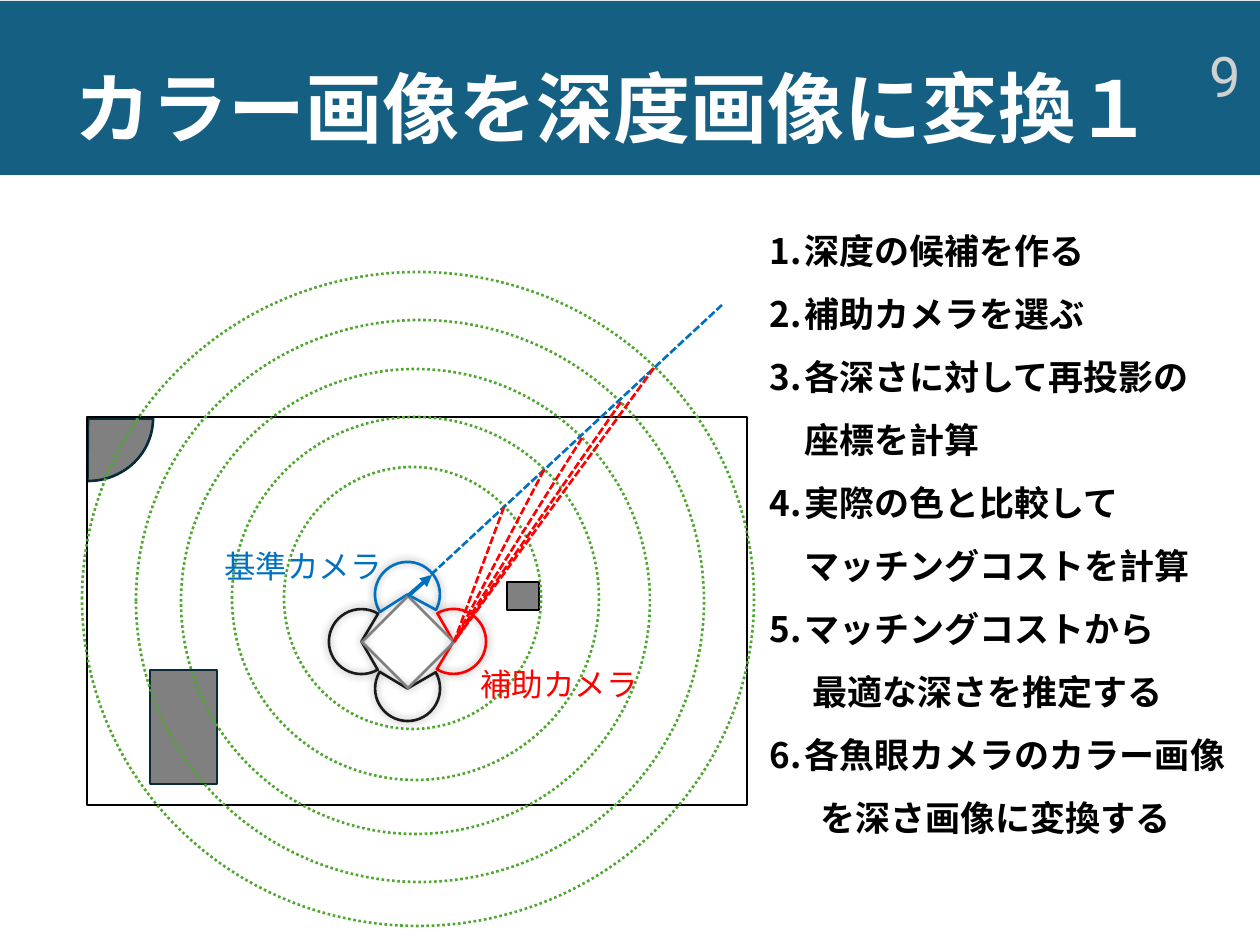
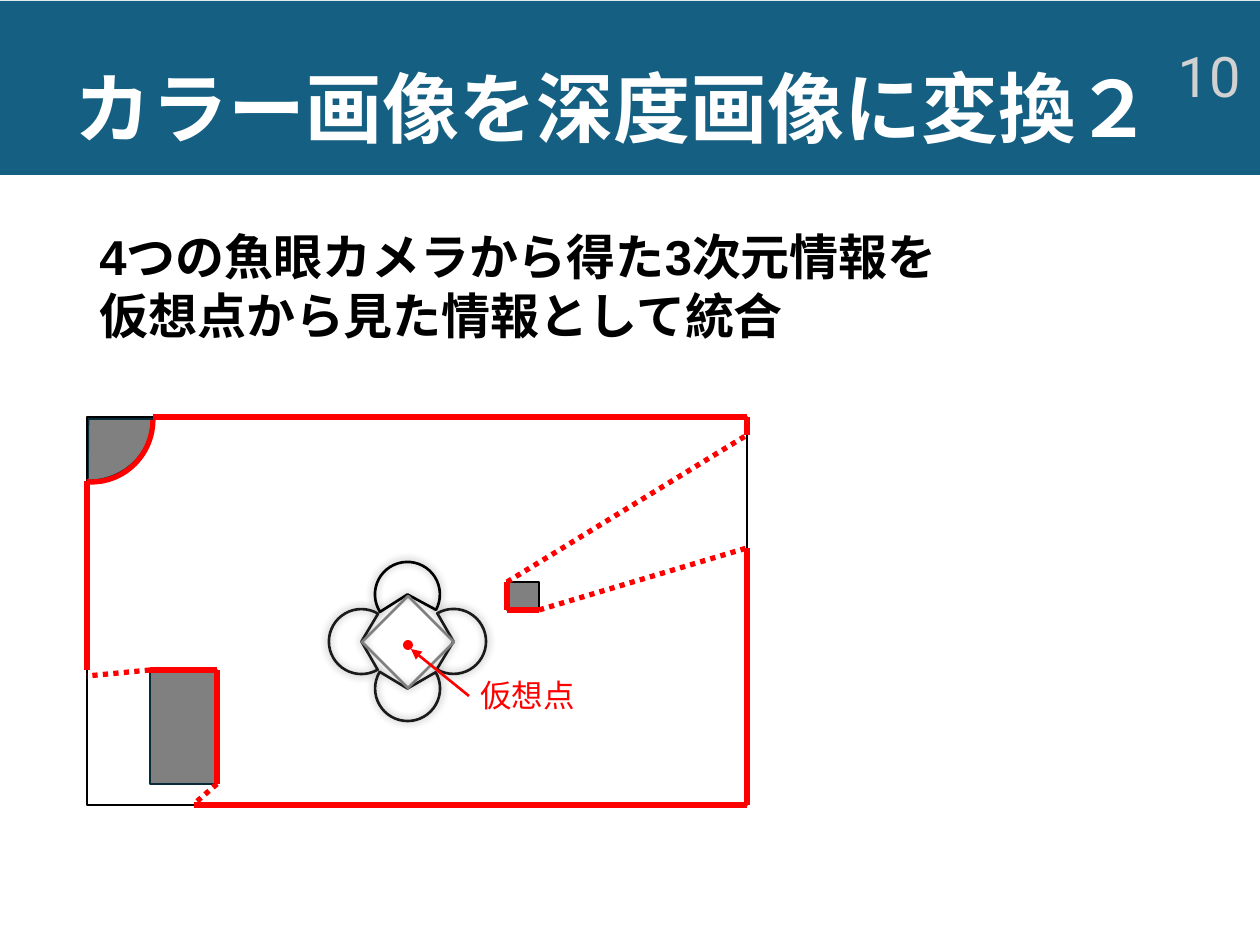
"""Build two slides on turning colour images into depth images."""
import lxml.etree
import pptx
import pptx.dml.color
import pptx.enum.dml
import pptx.enum.shapes
import pptx.enum.text
import pptx.oxml.ns
import pptx.util

PX = 914400 / 126
BAND, WHITE, NUMBER = "156082", "FFFFFF", "D1D1D1"
BLACK, CAMERA, NAVY, GRAY = "000000", "1A1A1A", "092A39", "808080"
GREEN, BLUE, RED = "4EA72E", "0070C0", "FF0000"

hex_color = pptx.dml.color.RGBColor.from_string
qn = pptx.oxml.ns.qn
SHAPE = pptx.enum.shapes.MSO_SHAPE
DASH = pptx.enum.dml.MSO_LINE
ALIGN = pptx.enum.text.PP_ALIGN
ANCHOR = pptx.enum.text.MSO_ANCHOR


def draw(slide, kind, box, fill=None, line=None, width=1.5, dash=None,
         turn=0, angles=(), glow=False, arrow=False):
    """Draw a shape in a px box, or a line between two px points if kind is None."""
    emu = [round(value * PX) for value in box]
    if kind is None:
        item = slide.shapes.add_connector(pptx.enum.shapes.MSO_CONNECTOR.STRAIGHT, *emu)
    else:
        item = slide.shapes.add_shape(kind, *emu)
        item.rotation = turn
        for index, angle in enumerate(angles):
            item.adjustments[index] = angle
        if fill:
            item.fill.solid()
            item.fill.fore_color.rgb = hex_color(fill)
        else:
            item.fill.background()
    if line:
        item.line.color.rgb = hex_color(line)
        item.line.width = pptx.util.Pt(width)
        if dash:
            item.line.dash_style = dash
    else:
        item.line.fill.background()
    properties = item._element.spPr
    if arrow:
        lxml.etree.SubElement(properties.find(qn("a:ln")), qn("a:tailEnd"), type="triangle")
    if kind is None:
        lxml.etree.SubElement(properties, qn("a:effectLst"))
    else:
        item.shadow.inherit = False
    if glow:
        shadow = lxml.etree.SubElement(properties.find(qn("a:effectLst")), qn("a:outerShdw"),
                                       blurRad="63500", dist="0", dir="0", algn="ctr", rotWithShape="0")
        black = lxml.etree.SubElement(shadow, qn("a:srgbClr"), val=BLACK)
        lxml.etree.SubElement(black, qn("a:alpha"), val="40000")


def write(slide, text, box, size=18, color=BLACK, font="Roboto", bold=False,
          align=ALIGN.LEFT, anchor=ANCHOR.TOP, spacing=None):
    """Write text in a px box and return its paragraphs."""
    frame = slide.shapes.add_textbox(*[round(value * PX) for value in box]).text_frame
    frame.word_wrap = True
    frame.vertical_anchor = anchor
    frame.text = text
    for paragraph in frame.paragraphs:
        paragraph.alignment = align
        paragraph.line_spacing = spacing
        for run in paragraph.runs:
            run.font.size = pptx.util.Pt(size)
            run.font.name = font
            run.font.bold = bold
            run.font.color.rgb = hex_color(color)
    return frame.paragraphs


deck = pptx.Presentation()
deck.slide_width = round(1260 * PX)
deck.slide_height = round(945 * PX)

cameras = [(375, 562, 357.5), (421, 609, 90), (329, 609, 270), (375, 656, 180)]
pages = [
    ("カラー画像を深度画像に変換１", "9", [BLUE, RED, CAMERA, CAMERA]),
    ("カラー画像を深度画像に変換２", "10", [BLACK, CAMERA, CAMERA, CAMERA]),
]
slides = []
for title, number, camera_colors in pages:
    slide = deck.slides.add_slide(deck.slide_layouts[6])
    slides.append(slide)
    draw(slide, SHAPE.RECTANGLE, (0, 1, 1260, 174), fill=BAND)
    write(slide, title, (62, 50, 1111, 125), size=44, color=WHITE, font="Arial",
          bold=True, anchor=ANCHOR.MIDDLE, spacing=0.9)
    write(slide, number, (969, 50, 284, 50), size=32, color=NUMBER,
          align=ALIGN.RIGHT, anchor=ANCHOR.MIDDLE)
    for (left, top, turn), camera_color in zip(cameras, camera_colors):
        draw(slide, SHAPE.PIE, (left, top, 65, 65), line=camera_color, turn=turn,
             angles=(89.98, 18.58), glow=True)
    draw(slide, SHAPE.DIAMOND, (362, 596, 92, 92), line=GRAY)
    draw(slide, SHAPE.PIE, (23, 356, 130, 125), fill=GRAY, line=NAVY, angles=(0, 54.33))
    draw(slide, SHAPE.RECTANGLE, (150, 670, 67, 114), fill=GRAY, line=NAVY)
    draw(slide, SHAPE.RECTANGLE, (87, 417, 660, 388), line=BLACK)
    draw(slide, SHAPE.RECTANGLE, (507, 582, 32, 28), fill=GRAY, line=BLACK)

matching, merging = slides

depth_rings = [(82, 272, 672, 654), (136, 320, 568, 562), (181, 369, 469, 465),
               (232, 417, 367, 363), (284, 467, 257, 262)]
for ring in depth_rings:
    draw(matching, SHAPE.FLOWCHART_CONNECTOR, ring, line=GREEN, dash=DASH.ROUND_DOT)
draw(matching, None, (408, 596, 722, 305), line=BLUE, dash=DASH.SQUARE_DOT)
for candidate in [(504, 507), (544, 470), (582, 438), (621, 402), (654, 368)]:
    draw(matching, None, (*candidate, 454, 642), line=RED, dash=DASH.SQUARE_DOT)
draw(matching, None, (408, 596, 432, 575), line=BLUE, width=2.25, arrow=True)
write(matching, "基準カメラ", (212, 541, 200, 50), color=BLUE)
write(matching, "補助カメラ", (468, 659, 200, 50), color=RED)

steps = [
    (1, 35, "深度の候補を作る"),
    (2, 35, "補助カメラを選ぶ"),
    (3, 35, "各深さに対して再投影の\v座標を計算"),
    (4, 35, "実際の色と比較して\vマッチングコストを計算"),
    (5, 35, "マッチングコストから"),
    (None, 43, "最適な深さを推定する"),
    (6, 35, "各魚眼カメラのカラー画像"),
    (None, 51, "を深さ画像に変換する"),
]
step_lines = write(matching, "\n".join(text for _, _, text in steps), (757, 202, 498, 707),
                   size=20, bold=True, spacing=1.5)
for (number, margin, _), step_line in zip(steps, step_lines):
    properties = step_line._p.get_or_add_pPr()
    properties.set("marL", str(round(margin * PX)))
    properties.set("indent", str(round(-47 * PX) if number else 0))
    if number:
        lxml.etree.SubElement(properties, qn("a:buAutoNum"), type="arabicPeriod",
                              startAt=str(number))

write(merging, "4つの魚眼カメラから得た3次元情報を\v仮想点から見た情報として統合",
      (87, 220, 1086, 147), size=28, font="Arial", bold=True)
seen_edges = [
    (747, 435, 747, 417), (507, 582, 507, 610), (507, 610, 539, 610),
    (87, 481, 87, 670), (150, 670, 217, 670), (217, 670, 217, 784),
    (153, 417, 747, 417), (747, 548, 747, 805), (194, 805, 747, 805),
]
sight_lines = [(507, 582, 747, 435), (539, 610, 747, 548),
               (150, 670, 87, 676), (217, 784, 194, 804)]
for edges, dash in [(seen_edges, None), (sight_lines, DASH.ROUND_DOT)]:
    for edge in edges:
        draw(merging, None, edge, line=RED, width=3, dash=dash)
draw(merging, SHAPE.ARC, (30, 357, 123, 125), line=RED, width=3, angles=(0.23, 56.7))
draw(merging, SHAPE.FLOWCHART_CONNECTOR, (403, 640, 10, 10), fill=RED)
draw(merging, None, (469, 696, 411, 649), line=RED, arrow=True)
write(merging, "仮想点", (468, 670, 140, 50), color=RED)

deck.save("out.pptx")
